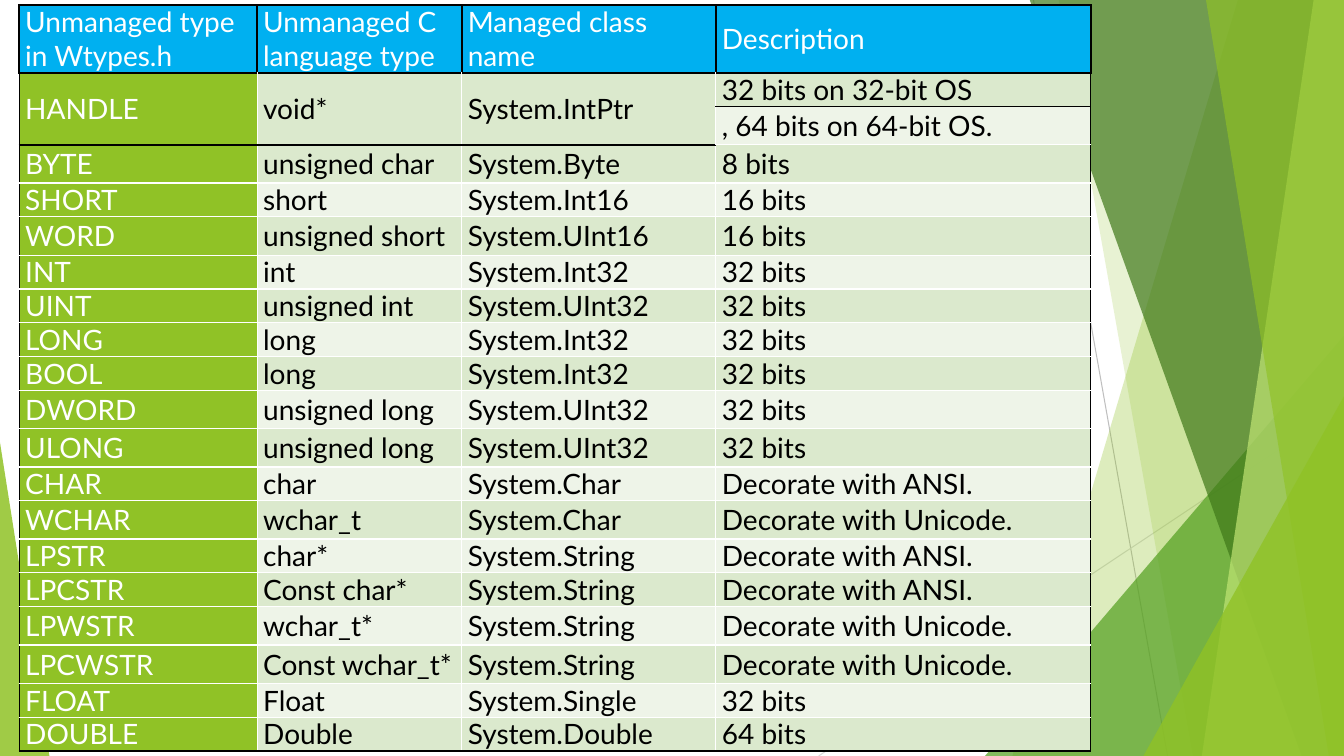
from dataclasses import dataclass

import pptx
import pptx.dml.color
import pptx.dml.fill
import pptx.enum.shapes
import pptx.enum.text
import pptx.oxml
import pptx.oxml.ns
import pptx.shapes.shapetree
import pptx.table
import pptx.util
from pptx.util import Inches

SLIDE_WIDTH, SLIDE_HEIGHT = 13.33, 7.5
FACET_TOP = -0.01
BLACK, WHITE = "000000", "FFFFFF"
HEADER_BLUE, GREEN = "00B0F0", "90C226"
DARK_BAND, LIGHT_BAND = "DBE9CD", "EEF4E8"
SHORT_ROW, TALL_ROW = 0.33, 0.38
COLUMN_WIDTHS = [2.36, 2.03, 2.52, 3.72]


@dataclass
class Facet:
    """A panel running to the right slide edge, with a slanted left side."""
    top_left: float
    bottom_left: float
    color: str
    opacity: int


@dataclass
class Triangle:
    """A right triangle standing on the bottom slide edge."""
    left: float
    top: float
    width: float
    apex: float
    color: str
    opacity: int


@dataclass
class TypeRow:
    height: float
    texts: tuple[str, str, str, str]


@dataclass
class Ray:
    start: tuple[float, float]
    end: tuple[float, float]
    color: str


RAYS = [
    Ray((10.25, 0), (11.58, 7.5), "BFBFBF"),
    Ray((13.33, 4.03), (8.12, 7.5), "D9D9D9"),
]

BACKDROP = [
    Facet(12.28, 10.04, GREEN, 30),
    Facet(10.5, 11.83, GREEN, 20),
    Triangle(9.77, 3.33, 3.56, 1, "54A021", 72),
    Facet(10.21, 12.91, "3F7819", 70),
    Facet(13.03, 11.92, "C0E474", 70),
    Facet(11.96, 13.18, GREEN, 65),
    Triangle(11.34, 3.93, 1.99, 1, GREEN, 80),
    Triangle(0, 4.39, 0.49, 0, GREEN, 85),
]

TYPE_ROWS = [
    TypeRow(0.67, ("Unmanaged type in Wtypes.h", "Unmanaged C language type",
                   "Managed class name", "Description")),
    TypeRow(SHORT_ROW, ("HANDLE", "void*", "System.IntPtr", "32 bits on 32-bit OS")),
    TypeRow(TALL_ROW, ("", "", "", ", 64 bits on 64-bit OS.")),
    TypeRow(TALL_ROW, ("BYTE", "unsigned char", "System.Byte", "8 bits")),
    TypeRow(SHORT_ROW, ("SHORT", "short", "System.Int16", "16 bits")),
    TypeRow(TALL_ROW, ("WORD", "unsigned short", "System.UInt16", "16 bits")),
    TypeRow(SHORT_ROW, ("INT", "int", "System.Int32", "32 bits")),
    TypeRow(SHORT_ROW, ("UINT", "unsigned int", "System.UInt32", "32 bits")),
    TypeRow(SHORT_ROW, ("LONG", "long", "System.Int32", "32 bits")),
    TypeRow(SHORT_ROW, ("BOOL", "long", "System.Int32", "32 bits")),
    TypeRow(TALL_ROW, ("DWORD", "unsigned long", "System.UInt32", "32 bits")),
    TypeRow(TALL_ROW, ("ULONG", "unsigned long", "System.UInt32", "32 bits")),
    TypeRow(SHORT_ROW, ("CHAR", "char", "System.Char", "Decorate with ANSI.")),
    TypeRow(TALL_ROW, ("WCHAR", "wchar_t", "System.Char", "Decorate with Unicode.")),
    TypeRow(SHORT_ROW, ("LPSTR", "char*", "System.String", "Decorate with ANSI.")),
    TypeRow(SHORT_ROW, ("LPCSTR", "Const char*", "System.String", "Decorate with ANSI.")),
    TypeRow(TALL_ROW, ("LPWSTR", "wchar_t*", "System.String", "Decorate with Unicode.")),
    TypeRow(TALL_ROW, ("LPCWSTR", "Const wchar_t*", "System.String", "Decorate with Unicode.")),
    TypeRow(SHORT_ROW, ("FLOAT", "Float", "System.Single", "32 bits")),
    TypeRow(SHORT_ROW, ("DOUBLE", "Double", "System.Double", "64 bits")),
]


def rgb(color: str) -> pptx.dml.color.RGBColor:
    return pptx.dml.color.RGBColor.from_string(color)


def fill_solid(fill: pptx.dml.fill.FillFormat, color: str) -> None:
    fill.solid()
    fill.fore_color.rgb = rgb(color)


def draw_ray(shapes: pptx.shapes.shapetree.SlideShapes, ray: Ray) -> None:
    points = [Inches(value) for value in (*ray.start, *ray.end)]
    connector = shapes.add_connector(pptx.enum.shapes.MSO_CONNECTOR.STRAIGHT, *points)
    connector.line.color.rgb = rgb(ray.color)
    connector.line.width = pptx.util.Pt(0.75)
    properties = connector._element.spPr
    properties.append(pptx.oxml.parse_xml(f"<a:effectLst {pptx.oxml.ns.nsdecls('a')}/>"))


def draw_panel(shapes: pptx.shapes.shapetree.SlideShapes, panel: Facet | Triangle) -> None:
    if isinstance(panel, Facet):
        builder = shapes.build_freeform(Inches(panel.top_left), Inches(FACET_TOP))
        corners = [(SLIDE_WIDTH, FACET_TOP), (SLIDE_WIDTH, SLIDE_HEIGHT),
                   (panel.bottom_left, SLIDE_HEIGHT)]
        builder.add_line_segments([(Inches(x), Inches(y)) for x, y in corners], close=True)
        shape = builder.convert_to_shape()
    else:
        shape = shapes.add_shape(
            pptx.enum.shapes.MSO_SHAPE.ISOSCELES_TRIANGLE,
            Inches(panel.left), Inches(panel.top),
            Inches(panel.width), Inches(SLIDE_HEIGHT - panel.top))
        shape.adjustments[0] = panel.apex
    shape.shadow.inherit = False
    shape.line.fill.background()
    fill_solid(shape.fill, panel.color)
    color_element = shape._element.spPr.find(".//" + pptx.oxml.ns.qn("a:srgbClr"))
    color_element.append(pptx.oxml.parse_xml(
        f"<a:alpha {pptx.oxml.ns.nsdecls('a')} val='{panel.opacity * 1000}'/>"))


def horizontal_border(edge: int, column: int) -> tuple[str, float]:
    """Color and width of the line above row number edge."""
    below_handle = edge == (2 if column == 3 else 3)
    dark = edge in (0, 1, len(TYPE_ROWS)) or below_handle
    return (BLACK if dark else WHITE), (1.5 if edge < 2 or below_handle else 1)


def vertical_border(row: int, edge: int) -> tuple[str, float]:
    """Color and width of the line left of column number edge."""
    dark = row == 0 or edge in (0, len(COLUMN_WIDTHS))
    return (BLACK if dark else WHITE), (1.5 if row == 0 else 1)


def set_borders(cell: pptx.table._Cell, row: int, column: int) -> None:
    bottom_edge = row + (cell.span_height if cell.is_merge_origin else 1)
    borders = {
        "lnL": vertical_border(row, column),
        "lnR": vertical_border(row, column + 1),
        "lnT": horizontal_border(row, column),
        "lnB": horizontal_border(bottom_edge, column),
    }
    properties = cell._tc.get_or_add_tcPr()
    for tag, (color, width) in borders.items():
        properties.append(pptx.oxml.parse_xml(
            f"<a:{tag} {pptx.oxml.ns.nsdecls('a')} w='{pptx.util.Pt(width)}'>"
            f"<a:solidFill><a:srgbClr val='{color}'/></a:solidFill></a:{tag}>"))


def cell_fill(row: int, column: int) -> str:
    if row == 0:
        return HEADER_BLUE
    if column == 0:
        return GREEN
    return DARK_BAND if row % 2 else LIGHT_BAND


def format_cell(cell: pptx.table._Cell, row: int, column: int, text: str) -> None:
    set_borders(cell, row, column)
    fill_solid(cell.fill, cell_fill(row, column))
    cell.margin_left = cell.margin_right = Inches(0.06)
    cell.margin_top = cell.margin_bottom = 0
    cell.vertical_anchor = pptx.enum.text.MSO_ANCHOR.MIDDLE
    cell.text = text
    font = cell.text_frame.paragraphs[0].font
    font.name = "Lato"
    font.size = pptx.util.Pt(20)
    font.color.rgb = rgb(WHITE if row == 0 or column == 0 else BLACK)


def draw_type_table(shapes: pptx.shapes.shapetree.SlideShapes) -> None:
    height = sum(type_row.height for type_row in TYPE_ROWS)
    table = shapes.add_table(
        len(TYPE_ROWS), len(COLUMN_WIDTHS), Inches(0.19), Inches(0.05),
        Inches(sum(COLUMN_WIDTHS)), Inches(height)).table
    table.horz_banding = False
    table.first_row = False
    for column, width in enumerate(COLUMN_WIDTHS):
        table.columns[column].width = Inches(width)
    for column in range(3):
        table.cell(1, column).merge(table.cell(2, column))
    for row, type_row in enumerate(TYPE_ROWS):
        table.rows[row].height = Inches(type_row.height)
        for column, text in enumerate(type_row.texts):
            format_cell(table.cell(row, column), row, column, text)


def main() -> None:
    presentation = pptx.Presentation()
    presentation.slide_width = Inches(SLIDE_WIDTH)
    presentation.slide_height = Inches(SLIDE_HEIGHT)
    slide = presentation.slides.add_slide(presentation.slide_layouts[6])
    for ray in RAYS:
        draw_ray(slide.shapes, ray)
    for panel in BACKDROP:
        draw_panel(slide.shapes, panel)
    draw_type_table(slide.shapes)
    presentation.save("out.pptx")


if __name__ == "__main__":
    main()
